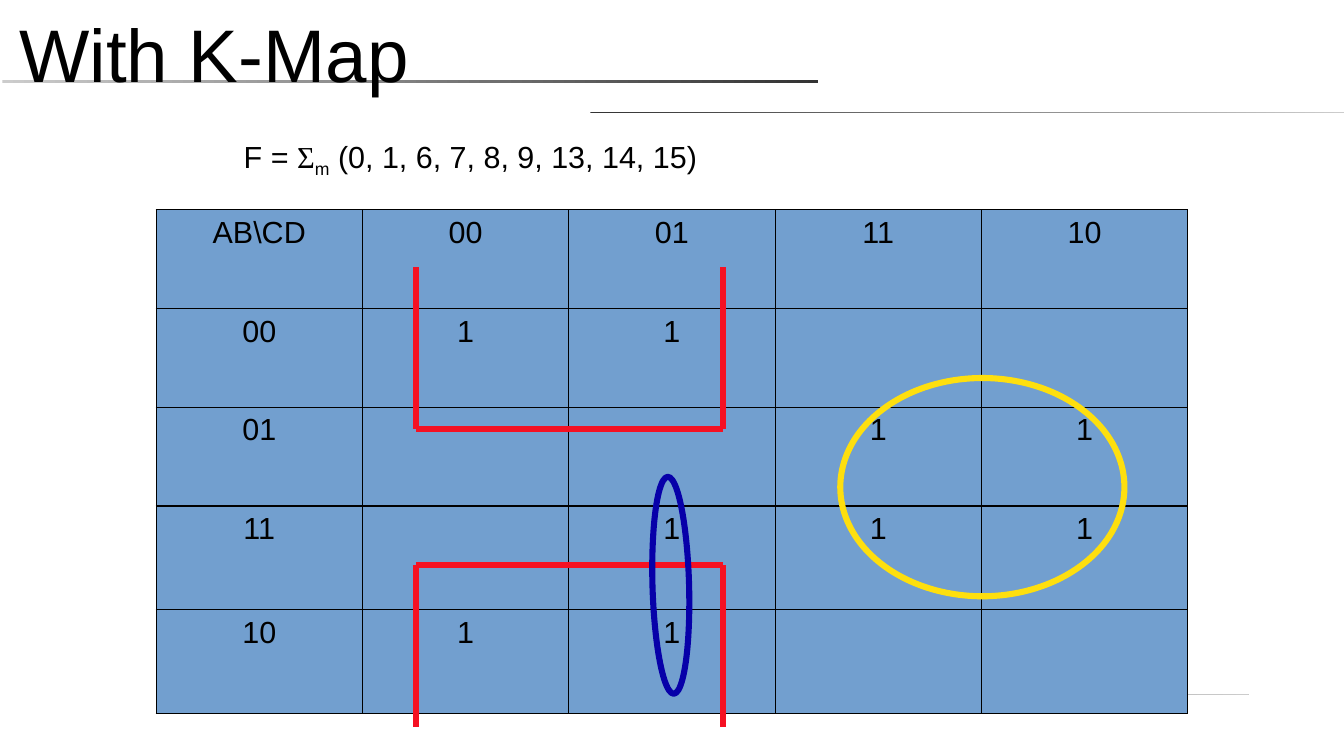
import dataclasses
import pptx
import pptx.dml.color
import pptx.enum.shapes
import pptx.enum.text
import pptx.oxml
import pptx.oxml.ns
import pptx.util

Inches = pptx.util.Inches
Pt = pptx.util.Pt
Shape = pptx.enum.shapes.MSO_SHAPE


@dataclasses.dataclass(frozen=True)
class Theme:
    ink: str = "000000"
    cell: str = "729FCF"
    dark: str = "333333"
    pale: str = "CCCCCC"
    red: str = "F51123"
    gold: str = "FEDF0E"
    navy: str = "0700A9"
    face: str = "Arial"
    greek: str = "Times New Roman"
    title: float = 44
    body: float = 18
    grid: float = 0.75
    loop: float = 3.6


THEME = Theme()
TERMS = (0, 1, 6, 7, 8, 9, 13, 14, 15)
GRAY = ("00", "01", "11", "10")


def color(code):
    return pptx.dml.color.RGBColor.from_string(code)


def apply(item, values):
    for name, value in values.items():
        setattr(item, name, value)


def write(para, text, size, face=THEME.face):
    run = para.add_run()
    run.text = text
    apply(run.font, {"size": Pt(size), "name": face})
    run.font.color.rgb = color(THEME.ink)
    return run


def frame(slide, box, pad, anchor):
    text = slide.shapes.add_textbox(*map(Inches, box)).text_frame
    across, down = map(Inches, pad)
    apply(text, {"word_wrap": True, "vertical_anchor": anchor,
                 "margin_left": across, "margin_right": across,
                 "margin_top": down, "margin_bottom": down})
    return text.paragraphs[0]


def rule(slide, box, start, end):
    """Draw a thin bar that fades from start to end."""
    bar = slide.shapes.add_shape(Shape.RECTANGLE, *map(Inches, box))
    bar.shadow.inherit = False
    bar.line.fill.background()
    bar.fill.gradient()
    bar.fill.gradient_angle = 0
    for stop, code in zip(bar.fill.gradient_stops, (start, end)):
        stop.color.rgb = color(code)


def title(slide, box):
    para = frame(slide, box, (0, 0), pptx.enum.text.MSO_ANCHOR.MIDDLE)
    write(para, "With K-Map", THEME.title)


def formula(slide, box):
    para = frame(slide, box, (0.1, 0.05), pptx.enum.text.MSO_ANCHOR.TOP)
    write(para, "F = ", THEME.body)
    write(para, "Σ", THEME.body, THEME.greek)
    sub = write(para, "m", THEME.body)
    sub.font._element.set("baseline", "-25000")
    write(para, f" ({', '.join(map(str, TERMS))})", THEME.body)


def border(cell):
    props = cell._tc.get_or_add_tcPr()
    for side in "LRTB":
        props.append(pptx.oxml.parse_xml(
            f'<a:ln{side} {pptx.oxml.ns.nsdecls("a")} w="{Pt(THEME.grid)}">'
            f'<a:solidFill><a:srgbClr val="{THEME.ink}"/></a:solidFill>'
            f'</a:ln{side}>'))


def kmap(slide, box, heights):
    """Fill the grid from the minterms, in Gray code order."""
    rows = [("AB\\CD", *GRAY)]
    for ab in GRAY:
        rows.append((ab, *("1" if int(ab + cd, 2) in TERMS else ""
                           for cd in GRAY)))
    grid = slide.shapes.add_table(
        len(rows), len(rows[0]), *map(Inches, box)).table
    apply(grid, {"first_row": False, "horz_banding": False})
    for row, height, texts in zip(grid.rows, heights, rows):
        row.height = Inches(height)
        for cell, text in zip(row.cells, texts):
            apply(cell, {"margin_left": Inches(0.04),
                         "margin_right": Inches(0.04)})
            border(cell)
            cell.fill.solid()
            cell.fill.fore_color.rgb = color(THEME.cell)
            para = cell.text_frame.paragraphs[0]
            para.alignment = pptx.enum.text.PP_ALIGN.CENTER
            if text:
                write(para, text, THEME.body)


def stroke(item, code):
    item.line.color.rgb = color(code)
    item.line.width = Pt(THEME.loop)


def ring(slide, box, code, turn=0):
    oval = slide.shapes.add_shape(Shape.OVAL, *map(Inches, box))
    oval.shadow.inherit = False
    oval.fill.background()
    oval.rotation = turn
    stroke(oval, code)


def bracket(slide, left, right, tip, base):
    """Draw half a loop: two legs from tip to base, and the base."""
    for ends in ((left, tip, left, base), (right, tip, right, base),
                 (left, base, right, base)):
        line = slide.shapes.add_connector(
            pptx.enum.shapes.MSO_CONNECTOR.STRAIGHT, *map(Inches, ends))
        stroke(line, THEME.red)
        line._element.spPr.append(pptx.oxml.parse_xml(
            f'<a:effectLst {pptx.oxml.ns.nsdecls("a")}/>'))


def main():
    deck = pptx.Presentation()
    apply(deck, {"slide_width": Inches(11.02), "slide_height": Inches(6.2)})
    slide = deck.slides.add_slide(deck.slide_layouts[6])
    rule(slide, (0.02, 0.66, 6.69, 0.02), THEME.pale, THEME.dark)
    rule(slide, (4.84, 0.92, 6.18, 0.01), THEME.dark, THEME.pale)
    rule(slide, (2.08, 5.69, 8.16, 0.01), THEME.dark, THEME.pale)
    title(slide, (0.16, 0.08, 10.43, 0.71))
    formula(slide, (1.9, 1.08, 3.92, 0.46))
    kmap(slide, (1.28, 1.72, 8.46, 4.11), (0.81, 0.81, 0.81, 0.85, 0.85))
    ring(slide, (6.89, 3.1, 2.33, 1.79), THEME.gold)
    bracket(slide, 3.41, 5.93, 5.96, 4.63)
    bracket(slide, 3.41, 5.93, 2.19, 3.52)
    ring(slide, (4.61, 4.65, 1.78, 0.3), THEME.navy, 88.4)
    deck.save("out.pptx")


if __name__ == "__main__":
    main()
